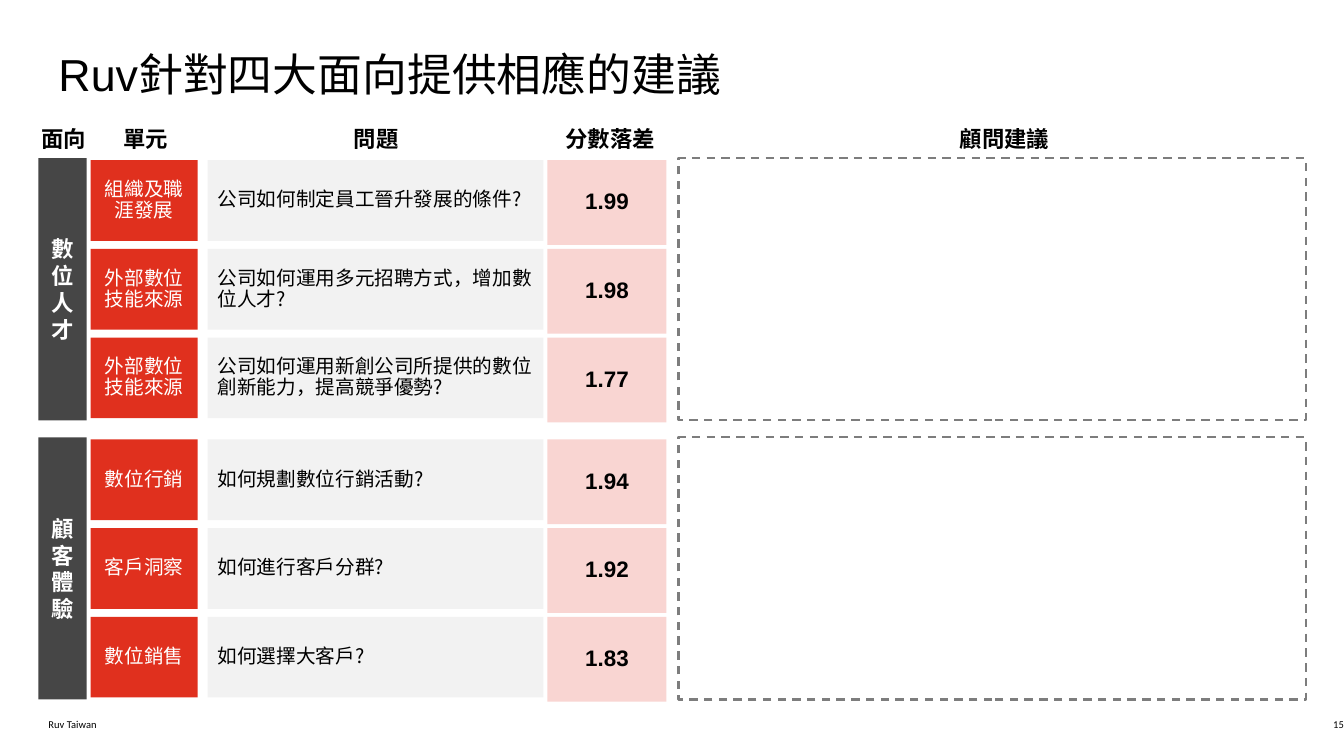
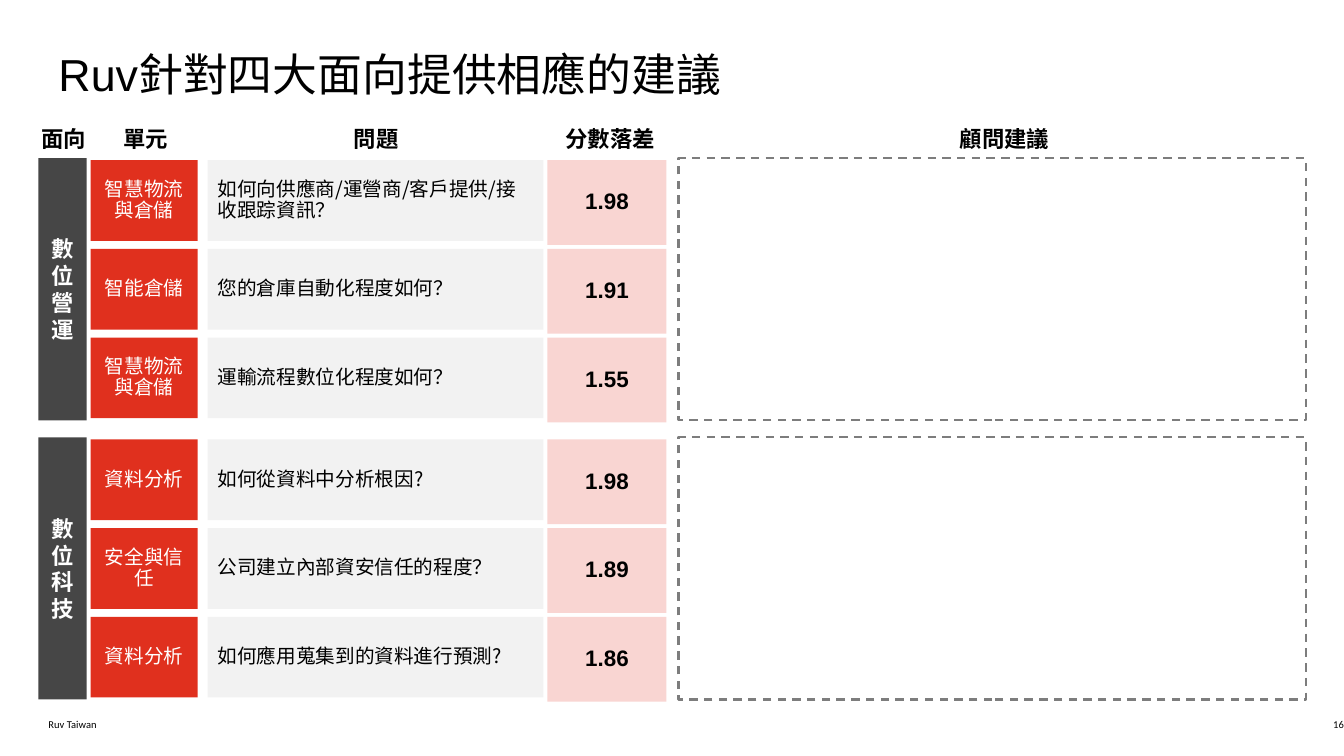
from lxml import etree
from pptx import Presentation
from pptx.dml.color import RGBColor
from pptx.enum.dml import MSO_LINE
from pptx.enum.shapes import MSO_SHAPE
from pptx.enum.text import MSO_ANCHOR, MSO_AUTO_SIZE, PP_ALIGN
from pptx.oxml.ns import qn
from pptx.util import Inches, Pt

BLACK = RGBColor(0x00, 0x00, 0x00)
WHITE = RGBColor(0xFF, 0xFF, 0xFF)
RED = RGBColor(0xE0, 0x30, 0x1E)
PINK = RGBColor(0xF9, 0xD5, 0xD2)
PALE = RGBColor(0xF2, 0xF2, 0xF2)
CHARCOAL = RGBColor(0x46, 0x46, 0x46)
GREY = RGBColor(0x7D, 0x7D, 0x7D)

LATIN, FOOTER_FONT, CJK = "Arial", "Calibri", "Noto Sans CJK SC"
LEFT, CENTER, RIGHT = PP_ALIGN.LEFT, PP_ALIGN.CENTER, PP_ALIGN.RIGHT
TOP, MIDDLE, BOTTOM = MSO_ANCHOR.TOP, MSO_ANCHOR.MIDDLE, MSO_ANCHOR.BOTTOM
NO_AUTOFIT = MSO_AUTO_SIZE.NONE
RECTANGLE, DASH = MSO_SHAPE.RECTANGLE, MSO_LINE.DASH

TITLE = "Ruv針對四大面向提供相應的建議"
FOOTER = "Ruv Taiwan"
HEADERS = [("面向", 0.41, 0.45), ("單元", 1.22, 0.45), ("問題", 3.51, 0.45),
           ("分數落差", 5.61, 0.9), ("顧問建議", 9.52, 0.9)]
GROUP_TOP, GROUP_PITCH, GROUP_HEIGHT = 1.57, 2.77, 2.6
ROW_OFFSET, ROW_PITCH, ROW_HEIGHT, SCORE_HEIGHT = 0.02, 0.88, 0.8, 0.84

PAGES = [
    (15, [
        ("數位人才", [
            ("組織及職涯發展", "公司如何制定員工晉升發展的條件?", "1.99"),
            ("外部數位技能來源", "公司如何運用多元招聘方式，增加數位人才?", "1.98"),
            ("外部數位技能來源",
             "公司如何運用新創公司所提供的數位創新能力，提高競爭優勢?", "1.77"),
        ]),
        ("顧客體驗", [
            ("數位行銷", "如何規劃數位行銷活動?", "1.94"),
            ("客戶洞察", "如何進行客戶分群?", "1.92"),
            ("數位銷售", "如何選擇大客戶?", "1.83"),
        ]),
    ]),
    (16, [
        ("數位營運", [
            ("智慧物流與倉儲", "如何向供應商/運營商/客戶提供/接收跟踪資訊？", "1.98"),
            ("智能倉儲", "您的倉庫自動化程度如何？", "1.91"),
            ("智慧物流與倉儲", "運輸流程數位化程度如何？", "1.55"),
        ]),
        ("數位科技", [
            ("資料分析", "如何從資料中分析根因?", "1.98"),
            ("安全與信任", "公司建立內部資安信任的程度？", "1.89"),
            ("資料分析", "如何應用蒐集到的資料進行預測?", "1.86"),
        ]),
    ]),
]


def write(frame, text, size=14, font=CJK, color=BLACK, bold=False, align=LEFT,
          anchor=TOP, line=1.0, before=0, after=0, wrap=True, inset=None):
    """Fill a text frame with one formatted paragraph."""
    frame.auto_size = NO_AUTOFIT
    frame.word_wrap = wrap
    frame.vertical_anchor = anchor
    if inset is not None:
        frame.margin_left = frame.margin_right = Inches(inset)
        frame.margin_top = frame.margin_bottom = Inches(inset)
    para = frame.paragraphs[0]
    para.alignment = align
    para.line_spacing = line
    para.space_before, para.space_after = Pt(before), Pt(after)
    span = para.add_run()
    span.text = text
    span.font.size, span.font.name, span.font.bold = Pt(size), font, bold
    span.font.color.rgb = color
    east_asian = etree.SubElement(span.font._element, qn("a:ea"))
    east_asian.set("typeface", CJK)


class AdviceDeck:
    """Holds the deck, its shared style and the current slide."""

    def __init__(self):
        """Open an empty widescreen deck."""
        self.deck = Presentation()
        self.deck.slide_width, self.deck.slide_height = Inches(13.33), Inches(7.5)
        self.page = None

    def add_page(self, number, groups):
        """Add one slide with its title, headers, groups and footer."""
        self.page = self.deck.slides.add_slide(self.deck.slide_layouts[5])
        self.title(TITLE)
        for text, left, width in HEADERS:
            self.label(text, left, 1.24, width, 0.27, size=16, bold=True,
                       after=6, wrap=False)
        for index, (name, rows) in enumerate(groups):
            self.group(name, rows, GROUP_TOP + index * GROUP_PITCH)
        footer = dict(size=7.5, font=FOOTER_FONT, anchor=BOTTOM)
        self.label(FOOTER, 0.48, 7.1, 5.99, 0.15, **footer)
        self.label(str(number), 11.4, 7.1, 1.93, 0.15, align=RIGHT, **footer)

    def title(self, text):
        """Place and format the title placeholder."""
        box = self.page.shapes.title
        box.left, box.top = Inches(0.48), Inches(0.47)
        box.width, box.height = Inches(12.36), Inches(1.52)
        write(box.text_frame, text, size=32, font=LATIN, line=0.9)

    def label(self, text, left, top, width, height, **style):
        """Add a text box without insets."""
        box = self.page.shapes.add_textbox(
            Inches(left), Inches(top), Inches(width), Inches(height))
        write(box.text_frame, text, inset=0, **style)

    def rectangle(self, left, top, width, height):
        """Add a rectangle without a shadow."""
        box = self.page.shapes.add_shape(
            RECTANGLE, Inches(left), Inches(top), Inches(width), Inches(height))
        box.shadow.inherit = False
        return box

    def cell(self, text, left, top, width, height, fill, **style):
        """Add a filled rectangle with vertically centred text."""
        box = self.rectangle(left, top, width, height)
        box.fill.solid()
        box.fill.fore_color.rgb = fill
        box.line.fill.background()
        write(box.text_frame, text, anchor=MIDDLE, **style)

    def advice_frame(self, top):
        """Add the dashed, empty frame for advice."""
        box = self.rectangle(6.73, top, 6.22, GROUP_HEIGHT)
        box.fill.background()
        box.line.color.rgb = GREY
        box.line.width = Pt(1.5)
        box.line.dash_style = DASH

    def group(self, name, rows, top):
        """Add a named band, its rows and its advice frame."""
        self.advice_frame(top)
        self.cell(name, 0.38, top, 0.48, GROUP_HEIGHT, CHARCOAL, size=16,
                  color=WHITE, bold=True, align=CENTER)
        spacing = dict(line=0.9, before=10)
        for index, (unit, question, score) in enumerate(rows):
            row_top = top + ROW_OFFSET + index * ROW_PITCH
            self.cell(unit, 0.9, row_top, 1.06, ROW_HEIGHT, RED, font=LATIN,
                      color=WHITE, align=CENTER, **spacing)
            self.cell(question, 2.06, row_top, 3.33, ROW_HEIGHT, PALE, **spacing)
            self.cell(score, 5.43, row_top, 1.18, SCORE_HEIGHT, PINK, size=16,
                      font=LATIN, bold=True, align=CENTER, **spacing)


def main():
    """Build and save the deck."""
    advice = AdviceDeck()
    for number, groups in PAGES:
        advice.add_page(number, groups)
    advice.deck.save("out.pptx")


if __name__ == "__main__":
    main()
